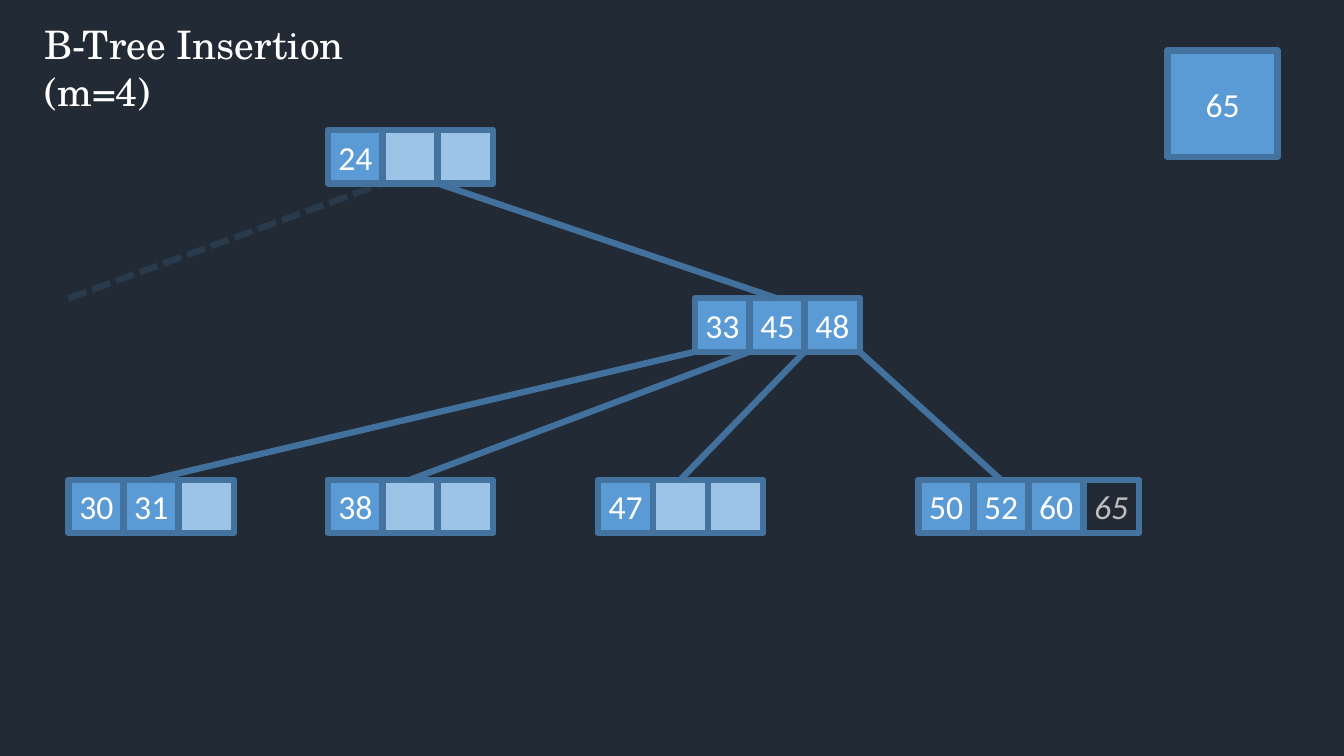
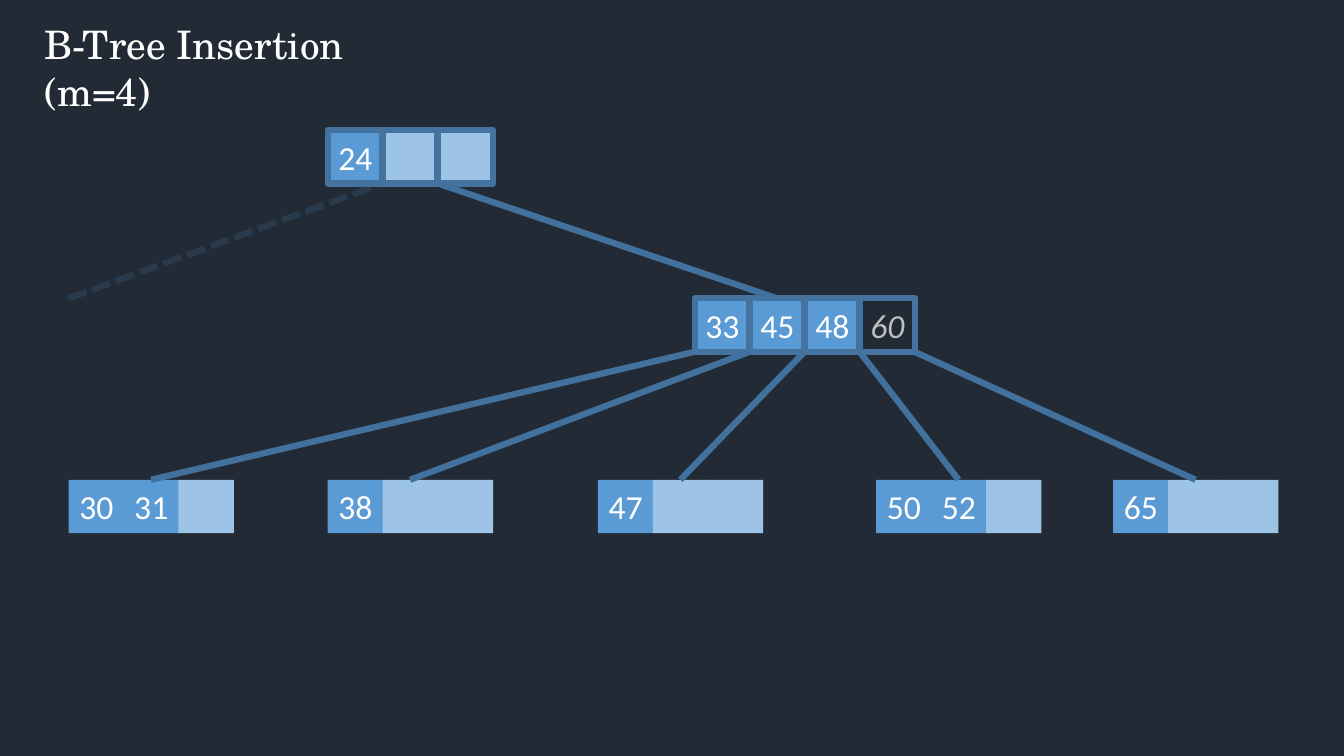
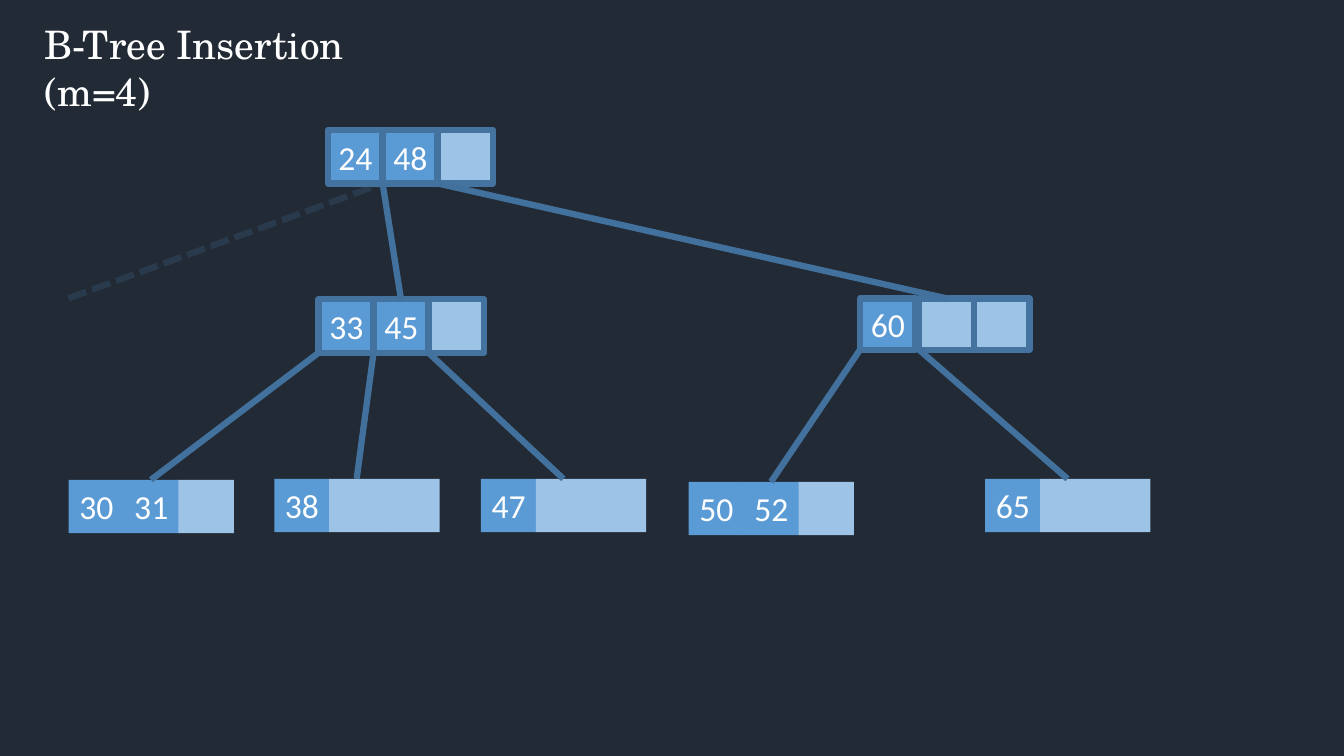
from dataclasses import dataclass, field

from lxml import etree
from pptx import Presentation
from pptx.dml.color import RGBColor
from pptx.enum.dml import MSO_LINE
from pptx.enum.shapes import MSO_CONNECTOR, MSO_SHAPE
from pptx.enum.text import MSO_ANCHOR, MSO_AUTO_SIZE, PP_ALIGN
from pptx.oxml.ns import qn
from pptx.util import Inches, Pt

RECT = MSO_SHAPE.RECTANGLE
STRAIGHT = MSO_CONNECTOR.STRAIGHT
DASH = MSO_LINE.SQUARE_DOT
MIDDLE = MSO_ANCHOR.MIDDLE
TOP = MSO_ANCHOR.TOP
CENTER = PP_ALIGN.CENTER
LEFT = PP_ALIGN.LEFT
GROW = MSO_AUTO_SIZE.SHAPE_TO_FIT_TEXT

NAVY = RGBColor(0x22, 0x2A, 0x35)
BLUE = RGBColor(0x5B, 0x9B, 0xD5)
PALE = RGBColor(0x9D, 0xC3, 0xE6)
BORDER = RGBColor(0x43, 0x73, 0x9E)
EDGE = RGBColor(0x41, 0x71, 0x9C)
WHITE = RGBColor(0xFF, 0xFF, 0xFF)
GREY = RGBColor(0xBF, 0xBF, 0xBF)

STROKE = Pt(4.5)
CELL_W = 0.55
CELL_H = 0.53
BIG_W = 1.09
BIG_H = 1.06
STEP = BIG_W / 2
SLOTS = 3
ROOT_X, ROOT_Y = 3.25, 1.29
MID_Y = 2.96
LEAF_Y = 4.76

KEY_FONT = {"name": "Calibri", "size": Pt(24)}
TITLE_FONT = {"name": "TeX Gyre Schola", "size": Pt(28)}


@dataclass
class Node:
    x: float
    y: float
    keys: tuple
    children: dict = field(default_factory=dict)
    overflow: str = ""
    outlined: bool = True
    height: float = CELL_H
    gap: float = 0

    def port(self, i):
        return self.x + i * STEP + (self.gap if i >= len(self.keys) else 0)

    @property
    def middle(self):
        return self.port(1) + STEP / 2


class Deck:
    def __init__(self):
        self.prs = Presentation()
        self.prs.slide_width = Inches(13.33)
        self.prs.slide_height = Inches(7.5)
        fill = self.prs.slide_master.background.fill
        fill.solid()
        fill.fore_color.rgb = NAVY

    def slide(self):
        self.s = self.prs.slides.add_slide(self.prs.slide_layouts[6])

    def text(self, tf, text, font, color, align, anchor, italic=None):
        tf.word_wrap = True
        tf.vertical_anchor = anchor
        p = tf.paragraphs[0]
        p.alignment = align
        r = p.add_run()
        r.text = text
        for name, value in {**font, "italic": italic}.items():
            setattr(r.font, name, value)
        r.font.color.rgb = color

    def title(self, text):
        sp = self.s.shapes.add_textbox(
            Inches(0.34), Inches(0.15), Inches(3.66), Inches(1.04))
        self.text(sp.text_frame, text, TITLE_FONT, WHITE, LEFT, TOP)
        sp.text_frame.auto_size = GROW

    def box(self, x, y, w, h, key="", fill=BLUE, outlined=True):
        sp = self.s.shapes.add_shape(RECT, Inches(x), Inches(y), Inches(w), Inches(h))
        sp.shadow.inherit = False
        if fill is None:
            sp.fill.background()
        else:
            sp.fill.solid()
            sp.fill.fore_color.rgb = fill
        if outlined:
            sp.line.color.rgb = BORDER
            sp.line.width = STROKE
        else:
            sp.line.fill.background()
        if key:
            color = GREY if fill is None else WHITE
            self.text(sp.text_frame, key, KEY_FONT, color, CENTER, MIDDLE,
                      True if fill is None else None)

    def edge(self, x1, y1, x2, y2, opacity=None):
        c = self.s.shapes.add_connector(
            STRAIGHT, Inches(x1), Inches(y1), Inches(x2), Inches(y2))
        c.line.color.rgb = EDGE
        c.line.width = STROKE
        spPr = c._element.spPr
        if opacity is not None:
            c.line.dash_style = DASH
            rgb = next(spPr.iter(qn("a:srgbClr")))
            etree.SubElement(rgb, qn("a:alpha")).set("val", str(opacity * 1000))
        etree.SubElement(spPr, qn("a:effectLst"))

    def tree(self, node):
        for i in range(SLOTS):
            key = node.keys[i] if i < len(node.keys) else ""
            self.box(node.port(i), node.y, CELL_W, node.height, key,
                     BLUE if key else PALE, node.outlined)
        if node.overflow:
            self.box(node.port(SLOTS), node.y, CELL_W, node.height, node.overflow, None)
        for i, child in node.children.items():
            self.tree(child)
            self.edge(child.middle, child.y, node.port(i), node.y + node.height)


def leaf(x, *keys, y=LEAF_Y):
    return Node(x, y, keys, outlined=False)


def main():
    full = Node(6.89, MID_Y, ("33", "45", "48"), {
        0: Node(0.68, LEAF_Y, ("30", "31")),
        1: Node(3.25, LEAF_Y, ("38",)),
        2: Node(5.93, LEAF_Y, ("47",)),
        3: Node(9.11, LEAF_Y, ("50", "52", "60"), overflow="65"),
    })
    overfull = Node(6.89, MID_Y, ("33", "45", "48"), {
        0: leaf(0.68, "30", "31"),
        1: leaf(3.25, "38"),
        2: leaf(5.93, "47"),
        3: leaf(8.69, "50", "52"),
        4: leaf(11.04, "65"),
    }, overflow="60")
    left_half = Node(3.16, 2.97, ("33", "45"), {
        0: leaf(0.68, "30", "31"),
        1: leaf(2.72, "38", y=4.75),
        2: leaf(4.77, "47", y=4.75),
    })
    right_half = Node(8.53, MID_Y, ("60",), {
        0: leaf(6.83, "50", "52", y=4.78),
        1: leaf(9.77, "65", y=4.75),
    }, height=0.51, gap=0.04)

    stages = [
        (("24",), {2: full}, "65"),
        (("24",), {2: overfull}, ""),
        (("24", "48"), {1: left_half, 2: right_half}, ""),
    ]
    d = Deck()
    for keys, children, incoming in stages:
        d.slide()
        root = Node(ROOT_X, ROOT_Y, keys, children)
        d.tree(root)
        d.edge(0.68, MID_Y, root.port(1), ROOT_Y + CELL_H, opacity=23)
        if incoming:
            d.box(11.58, 0.5, BIG_W, BIG_H, incoming)
        d.title("B-Tree Insertion (m=4)")
    d.prs.save("out.pptx")


if __name__ == "__main__":
    main()
